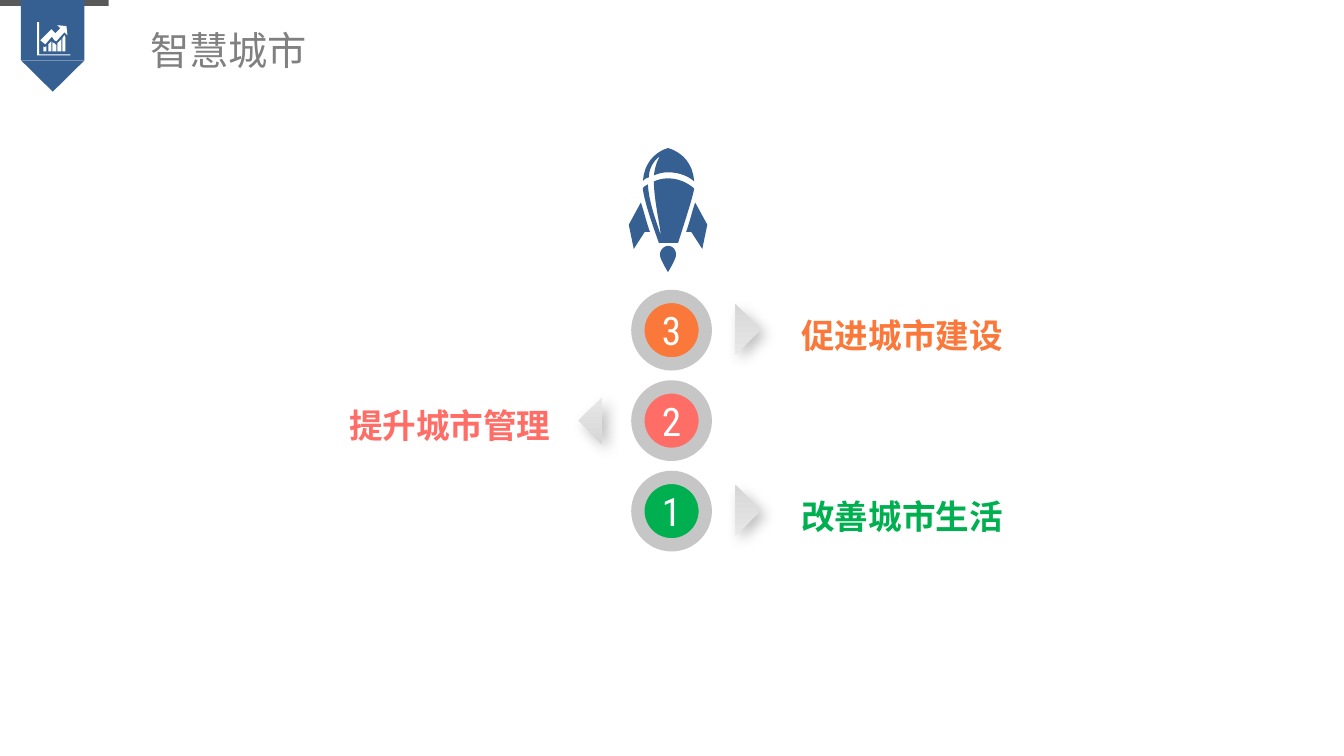
import pptx
import pptx.util
import pptx.dml.color
import pptx.enum.shapes
import pptx.enum.text
import pptx.oxml
from lxml import etree

Cm, Pt = pptx.util.Cm, pptx.util.Pt
KIND = pptx.enum.shapes.MSO_SHAPE
ALIGN = pptx.enum.text.PP_ALIGN
FIT = pptx.enum.text.MSO_AUTO_SIZE
ANCHOR = pptx.enum.text.MSO_ANCHOR
NS = "http://schemas.openxmlformats.org/drawingml/2006/main"

BLUE, GREY, RING, WHITE = "376092", "595959", "C6C6C6", "FFFFFF"
SANS, DIGIT = "Noto Sans CJK JP", "Roboto Condensed"
TITLE = "智慧城市"

# number, label, colour, side; top to bottom
STEPS = [
    ("3", "促进城市建设", "FA783A", "right"),
    ("2", "提升城市管理", "FF6D67", "left"),
    ("1", "改善城市生活", "00B050", "right"),
]
# label left; arrow left, drop below circle top, size, turn
SIDES = {
    "right": (19.91, (18.08, 0.38, 0.91, 225)),
    "left": (8.51, (14.76, 0.43, 0.84, 45.3)),
}
TOP, STEP = 7.47, 2.28

# Outlines in hundredths of an inch: pairs are corners, sixes are cubic curves
UNIT, FINE, CUTS = Cm(0.0254), 100, 12
CHART = [
    [(43, 46), (44, 47), (46, 46), (46, 51), (43, 51)],
    [(52, 42), (54, 43), (56, 45), (56, 51), (52, 51)],
    [(51, 41), (51, 51), (48, 51), (48, 44)],
    [(61, 39), (61, 51), (57, 51), (57, 43)],
    [(64, 35), (65, 37), (65, 51), (62, 51), (62, 38)],
    [(57, 25), (66, 26), (67, 35), (64, 32), (56, 41), (54, 40), (52, 37),
     (51, 37), (45, 44), (40, 40), (47, 33), (51, 29), (55, 33), (60, 28)],
    [(37, 22), (39, 22), (39, 54), (70, 54), (70, 55), (37, 55)],
]
FIN = [(624, 223), (629, 247), (640, 230), (645, 230),
       (641, 219, 639, 209, 636, 201)]
FLAME = [(663, 244), (659, 244, 655, 248, 655, 253),
         (655, 257, 663, 270, 663, 270), (663, 270, 671, 257, 671, 253),
         (671, 248, 668, 244, 663, 244)]
BODY = [(663, 177), (658, 177, 654, 178, 649, 180),
        (649, 197, 654, 218, 656, 234), (653, 224, 644, 202, 643, 183),
        (641, 184, 639, 185, 638, 187), (639, 198, 647, 222, 654, 241),
        (673, 241), (679, 222, 687, 198, 689, 187),
        (682, 181, 673, 177, 663, 177)]
NOSE = [(655, 155), (652, 160, 650, 166, 649, 174),
        (654, 172, 658, 171, 663, 171), (673, 171, 682, 174, 689, 180),
        (687, 152, 663, 147, 663, 147), (663, 147, 640, 152, 638, 180),
        (639, 178, 641, 177, 644, 176), (644, 168, 648, 160, 655, 155)]
AXIS = 663
MIRROR = [tuple(2 * AXIS - v if i % 2 == 0 else v for i, v in enumerate(part))
          for part in FIN]
ROCKET = [FIN, MIRROR, FLAME, BODY, NOSE]


def rgb(code):
    return pptx.dml.color.RGBColor.from_string(code)


def paint(shape, fill):
    shape.shadow.inherit = False
    shape.fill.solid()
    shape.fill.fore_color.rgb = rgb(fill)
    shape.line.fill.background()
    return shape


def add(slide, kind, box, fill, turn=0):
    shape = slide.shapes.add_shape(kind, *map(Cm, box))
    shape.rotation = turn
    return paint(shape, fill)


def trace(parts):
    """Turn corners and cubic curves into plain points in fine units."""
    points = [parts[0]]
    for part in parts[1:]:
        if len(part) == 2:
            points.append(part)
            continue
        knots = [points[-1], part[:2], part[2:4], part[4:]]
        for cut in range(1, CUTS + 1):
            t = cut / CUTS
            load = ((1 - t) ** 3, 3 * t * (1 - t) ** 2, 3 * t * t * (1 - t), t ** 3)
            points.append(tuple(sum(w * k[i] for w, k in zip(load, knots))
                                for i in (0, 1)))
    return [(x * FINE, y * FINE) for x, y in points]


def draw(slide, loops, fill):
    first, *rest = map(trace, loops)
    pen = slide.shapes.build_freeform(*first[0], scale=UNIT / FINE)
    pen.add_line_segments(first[1:], close=True)
    for loop in rest:
        pen.move_to(*loop[0])
        pen.add_line_segments(loop[1:], close=True)
    paint(pen.convert_to_shape(), fill)


def write(shape, text, color, frame, font, align=ALIGN.CENTER):
    body = shape.text_frame
    for key, value in frame.items():
        setattr(body, key, value)
    para = body.paragraphs[0]
    para.alignment = align
    run = para.add_run()
    run.text = text
    for key, value in font.items():
        setattr(run.font, key, value)
    run.font.color.rgb = rgb(color)
    east = etree.SubElement(run.font._element, f"{{{NS}}}ea")
    east.set("typeface", font["name"])
    return para


def arrow(slide, box, turn):
    shape = add(slide, KIND.RIGHT_TRIANGLE, box, WHITE, turn)
    shape.fill.gradient()
    shape.fill.gradient_angle = 315
    for stop, color in zip(shape.fill.gradient_stops, ("E8E8E8", "D6D6D6")):
        stop.color.rgb = rgb(color)
    effects = shape._element.spPr.find(f"{{{NS}}}effectLst")
    effects.append(pptx.oxml.parse_xml(
        f'<a:outerShdw xmlns:a="{NS}" blurRad="{Cm(0.35)}" dist="{Cm(0.18)}" '
        'dir="2700000" algn="tl" rotWithShape="0"><a:srgbClr val="000000">'
        '<a:alpha val="25000"/></a:srgbClr></a:outerShdw>'))


def header(slide):
    add(slide, KIND.RECTANGLE, (0, 0, 2.74, 0.15), GREY)
    add(slide, KIND.RECTANGLE, (0.53, 0, 1.6, 1.52), BLUE)
    add(slide, KIND.ISOSCELES_TRIANGLE, (0.53, 1.52, 1.6, 0.79), BLUE, 180)
    draw(slide, CHART, WHITE)
    box = slide.shapes.add_textbox(*map(Cm, (2.34, 0.56, 5.99, 1.4)))
    frame = dict(word_wrap=True, auto_size=FIT.SHAPE_TO_FIT_TEXT,
                 margin_left=Cm(0.18), margin_right=Cm(0.18),
                 margin_top=Cm(0.1), margin_bottom=Cm(0.1))
    para = write(box, TITLE, "808080", frame, dict(name=SANS, size=Pt(28)), ALIGN.LEFT)
    props = para._p.get_or_add_pPr()
    props.set("marL", str(Cm(1.27)))
    props.set("indent", "0")


def step(slide, top, number, label, color, side):
    left, (start, drop, size, turn) = SIDES[side]
    arrow(slide, (start, top + drop, size, size), turn)
    disc = add(slide, KIND.OVAL, (16.08, top, 1.7, 1.7), color)
    disc.line.color.rgb = rgb(RING)
    disc.line.width = Pt(9.5)
    frame = dict(vertical_anchor=ANCHOR.MIDDLE, margin_left=0, margin_right=0,
                 margin_top=0, margin_bottom=0)
    write(disc, number, WHITE, frame, dict(name=DIGIT, size=Pt(28)))
    box = slide.shapes.add_textbox(*map(Cm, (left, top + 0.33, 5.66, 1.27)))
    frame = dict(word_wrap=False, auto_size=FIT.SHAPE_TO_FIT_TEXT)
    write(box, label, color, frame, dict(name=SANS, size=Pt(24), bold=True))


def main():
    deck = pptx.Presentation()
    deck.slide_width, deck.slide_height = Cm(33.88), Cm(19.05)
    slide = deck.slides.add_slide(deck.slide_layouts[6])
    header(slide)
    for part in ROCKET:
        draw(slide, [part], BLUE)
    for row, item in enumerate(STEPS):
        step(slide, TOP + row * STEP, *item)
    deck.save("out.pptx")


if __name__ == "__main__":
    main()
